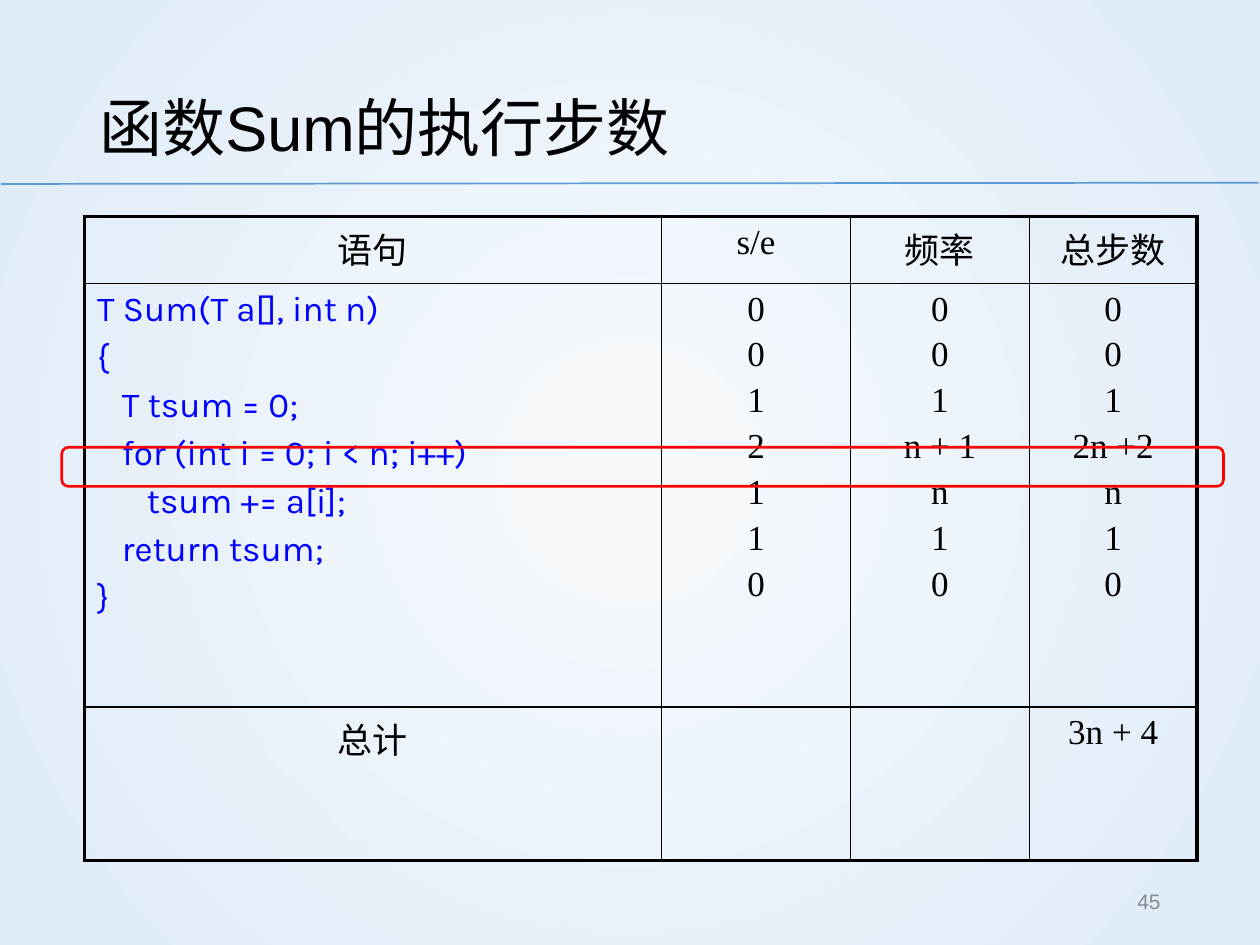
"""Build the slide that counts the execution steps of the function Sum."""
from itertools import product

from pptx import Presentation
from pptx.dml.color import RGBColor
from pptx.enum.shapes import MSO_CONNECTOR, MSO_SHAPE
from pptx.enum.text import MSO_ANCHOR as Anchor, PP_ALIGN as Align
from pptx.oxml import parse_xml
from pptx.oxml.ns import nsdecls, qn
from pptx.oxml.xmlchemy import OxmlElement
from pptx.util import Inches, Pt

BLACK = RGBColor(0x00, 0x00, 0x00)
BLUE = RGBColor(0x00, 0x00, 0xFF)
RED = RGBColor(0xFF, 0x00, 0x00)
GREY = RGBColor(0x8C, 0x8C, 0x8C)
RULE_BLUE = RGBColor(0x5B, 0x9B, 0xD5)
GLOW = RGBColor(0xF7, 0xFA, 0xFD)
EDGE = RGBColor(0xDE, 0xEB, 0xF7)

HEADING = {"name": "Arial", "size": Pt(36), "color": BLACK}
NUMBERING = {"name": "Arial", "size": Pt(12), "color": GREY}
CODE = {"name": "Karla", "size": Pt(20), "color": BLUE}
COUNT = {"name": "Times New Roman", "size": Pt(20), "color": BLACK}

deck = Presentation()
deck.slide_width, deck.slide_height = Inches(10), Inches(7.5)
slide = deck.slides.add_slide(deck.slide_layouts[6])
UNIT = deck.slide_width / 100


def grid(*units):
    return [round(UNIT * count) for count in units]


def write(frame, lines, look, align, line_spacing=None):
    for index, line in enumerate(lines):
        paragraph = frame.paragraphs[0] if index == 0 else frame.add_paragraph()
        paragraph.alignment = align
        paragraph.line_spacing = line_spacing
        if index:
            before = OxmlElement("a:spcBef")
            share = OxmlElement("a:spcPct")
            share.set("val", "20000")
            before.append(share)
            paragraph._p.get_or_add_pPr().append(before)
        run = paragraph.add_run()
        run.text = line
        for attribute, value in look.items():
            if attribute == "color":
                run.font.color.rgb = value
            else:
                setattr(run.font, attribute, value)


backdrop = slide.background.fill
backdrop.gradient()
for stop, tint in zip(backdrop.gradient_stops, (GLOW, EDGE)):
    stop.color.rgb = tint
gradient = slide._element.find(".//" + qn("a:gradFill"))
gradient.replace(gradient.find(qn("a:lin")), parse_xml(
    f'<a:path {nsdecls("a")} path="circle">'
    '<a:fillToRect l="50000" t="50000" r="50000" b="50000"/></a:path>'))

title_rule = slide.shapes.add_connector(
    MSO_CONNECTOR.STRAIGHT, *grid(0.1, 14.6, 99.9, 14.5))
title_rule.line.color.rgb = RULE_BLUE
title_rule.line.width = Pt(1)
title_rule._element.spPr.append(OxmlElement("a:effectLst"))

for place, wording, look, align, line_spacing in (
        ((6.9, 4, 86.2, 10.8), "函数Sum的执行步数", HEADING, Align.LEFT, 1.2),
        ((70.6, 69.5, 22.5, 4), "45", NUMBERING, Align.RIGHT, None)):
    frame = slide.shapes.add_textbox(*grid(*place)).text_frame
    frame.word_wrap = True
    frame.vertical_anchor = Anchor.MIDDLE
    write(frame, [wording], look, align, line_spacing)

code_lines = [
    "T Sum(T a[], int n)",
    "{",
    "   T tsum = 0;",
    "   for (int i = 0; i < n; i++)",
    "      tsum += a[i];",
    "   return tsum;",
    "}",
]
step_rows = [
    [["语句"], ["s/e"], ["频率"], ["总步数"]],
    [code_lines,
     ["0", "0", "1", "2", "1", "1", "0"],
     ["0", "0", "1", "n + 1", "n", "1", "0"],
     ["0", "0", "1", "2n +2", "n", "1", "0"]],
    [["总计"], [], [], ["3n + 4"]],
]
steps = slide.shapes.add_table(3, 4, *grid(6.7, 17.2, 88.3, 51.1)).table
steps.first_row = steps.horz_banding = False
for column, width in zip(steps.columns, grid(45.8, 15, 14.2, 13.3)):
    column.width = width
for row, height in zip(steps.rows, grid(5.3, 33.6, 12.2)):
    row.height = height

for r, c in product(range(3), range(4)):
    cell = steps.cell(r, c)
    lines = step_rows[r][c]
    is_code = lines is code_lines
    write(cell.text_frame, lines, CODE if is_code else COUNT,
          Align.LEFT if is_code else Align.CENTER)
    borders = cell._tc.get_or_add_tcPr()
    for side, outer in (("L", c == 0), ("R", c == 3), ("T", r == 0), ("B", r == 2)):
        borders.append(parse_xml(
            f'<a:ln{side} {nsdecls("a")} w="{Pt(2.25 if outer else 1)}">'
            f'<a:solidFill><a:srgbClr val="{BLACK}"/></a:solidFill></a:ln{side}>'))
    cell.fill.background()

loop_mark = slide.shapes.add_shape(
    MSO_SHAPE.ROUNDED_RECTANGLE, *grid(4.9, 35.5, 92.2, 3.1))
loop_mark.shadow.inherit = False
loop_mark.fill.background()
loop_mark.line.color.rgb = RED
loop_mark.line.width = Pt(1.5)

deck.save("out.pptx")
